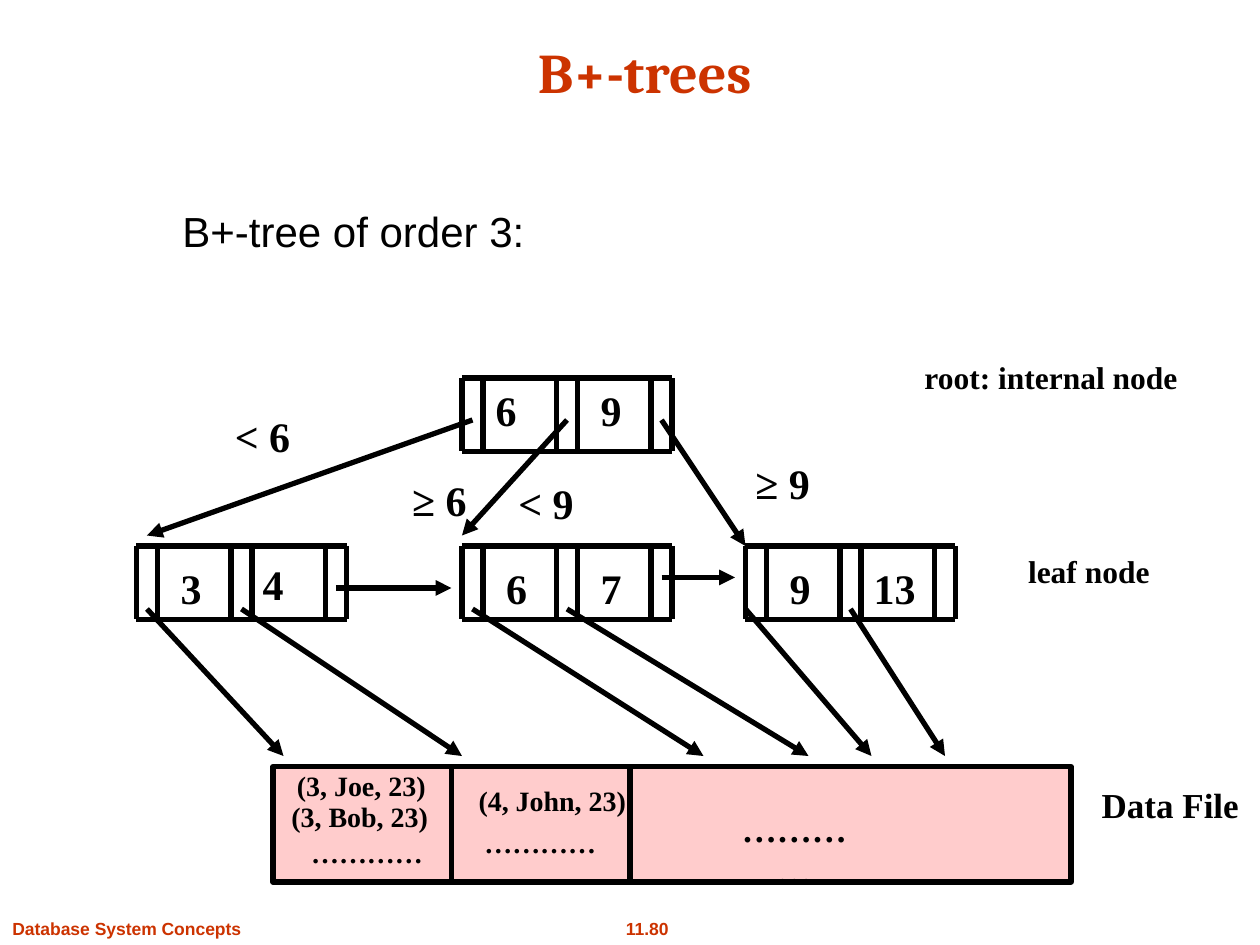
from typing import NamedTuple

import pptx
import pptx.dml.color
import pptx.enum.shapes
import pptx.enum.text
import pptx.oxml.ns
import pptx.util
from lxml import etree

PX = pptx.util.Inches(1) // 120  # one px is 1/120 inch
ALIGN = pptx.enum.text.PP_ALIGN
ANCHOR = pptx.enum.text.MSO_ANCHOR


class Theme(NamedTuple):
    accent: str = "CC3300"
    ink: str = "000000"
    paper: str = "FFFFFF"
    record_fill: str = "FFCCCC"
    title_font: str = "Cambria"
    body_font: str = "Arial"
    diagram_font: str = "Times New Roman"
    title_size: int = 32
    body_size: int = 24
    key_size: int = 24
    file_size: int = 20
    caption_size: int = 18
    record_size: int = 16
    footer_size: int = 10
    stroke: int = 3


class Node(NamedTuple):
    left: int
    top: int


class Line(NamedTuple):
    x1: int
    y1: int
    x2: int
    y2: int


class Label(NamedTuple):
    text: str
    left: int
    top: int
    width: int = 44


THEME = Theme()
NODE_WIDTH, NODE_HEIGHT = 200, 70
NODE_RULES = (0, 20, 90, 110, 180, 200)  # pointer slots between key cells

NODES = [Node(440, 360), Node(710, 520), Node(440, 520), Node(130, 520)]

CHILD_POINTERS = [
    Line(450, 400, 140, 510),
    Line(540, 400, 440, 510),
    Line(630, 400, 710, 520),
]
LEAF_LINKS = [Line(320, 560, 430, 560), Line(630, 550, 700, 550)]
RECORD_POINTERS = [
    Line(start, 580, end, 720)
    for start, end in [(140, 270), (230, 440), (450, 670),
                       (540, 770), (710, 830), (810, 900)]
]

# Labels by type size
LABELS = {
    THEME.key_size: [
        Label("3", 160, 530), Label("4", 238, 526),
        Label("6", 460, 360), Label("9", 560, 360),
        Label("6", 470, 530), Label("7", 560, 530),
        Label("9", 740, 530), Label("13", 820, 530, 64),
        Label("< 6", 211, 385, 78), Label("≥ 6", 370, 446, 97),
        Label("< 9", 481, 449, 78), Label("≥ 9", 707, 430, 77),
    ],
    THEME.record_size: [
        Label("(3, Joe, 23)", 270, 726, 148),
        Label("(3, Bob, 23)", 265, 756, 155),
        Label("(4, John, 23)", 443, 740, 166),
        Label("…………", 284, 790, 131),
        Label("…………", 449, 780, 131),
    ],
    THEME.file_size: [
        Label("…………", 678, 763, 157),
        Label("Data File", 1037, 740, 155),
    ],
    THEME.caption_size: [
        Label("root: internal node", 868, 335, 266),
        Label("leaf node", 967, 520, 140),
    ],
}


def rgb(value: str) -> pptx.dml.color.RGBColor:
    return pptx.dml.color.RGBColor.from_string(value)


def write(slide, text: str, *, left: int, top: int, width: int, height: int,
          size: int, font: str = THEME.diagram_font, color: str = THEME.ink,
          bold: bool = True, align=ALIGN.CENTER, anchor=ANCHOR.TOP,
          wrap: bool = False) -> None:
    box = slide.shapes.add_textbox(left * PX, top * PX, width * PX, height * PX)
    frame = box.text_frame
    frame.word_wrap = wrap
    frame.vertical_anchor = anchor
    paragraph = frame.paragraphs[0]
    paragraph.alignment = align
    run = paragraph.add_run()
    run.text = text
    run.font.name = font
    run.font.size = pptx.util.Pt(size)
    run.font.bold = bold
    run.font.color.rgb = rgb(color)


def draw_line(shapes, line: Line, *, arrow: bool = False) -> None:
    connector = shapes.add_connector(
        pptx.enum.shapes.MSO_CONNECTOR.STRAIGHT, *(value * PX for value in line))
    connector.line.color.rgb = rgb(THEME.ink)
    connector.line.width = pptx.util.Pt(THEME.stroke)
    if arrow:
        etree.SubElement(connector.line._get_or_add_ln(),
                         pptx.oxml.ns.qn("a:tailEnd"), type="triangle")
    etree.SubElement(connector._element.spPr, pptx.oxml.ns.qn("a:effectLst"))


def draw_node(slide, node: Node) -> None:
    shapes = slide.shapes.add_group_shape().shapes
    bottom = node.top + NODE_HEIGHT
    for offset in NODE_RULES:
        x = node.left + offset
        draw_line(shapes, Line(x, node.top, x, bottom))
    for y in (node.top, bottom):
        draw_line(shapes, Line(node.left, y, node.left + NODE_WIDTH, y))


def draw_data_file(slide) -> None:
    left, top, width, height = 260, 730, 760, 110
    records = slide.shapes.add_shape(
        pptx.enum.shapes.MSO_SHAPE.RECTANGLE,
        left * PX, top * PX, width * PX, height * PX)
    records.shadow.inherit = False
    records.fill.solid()
    records.fill.fore_color.rgb = rgb(THEME.record_fill)
    records.line.color.rgb = rgb(THEME.ink)
    records.line.width = pptx.util.Pt(THEME.stroke)
    for x in (430, 600):
        draw_line(slide.shapes, Line(x, top, x, top + height))


def main() -> None:
    deck = pptx.Presentation()
    deck.slide_width, deck.slide_height = 1200 * PX, 900 * PX
    slide = deck.slides.add_slide(deck.slide_layouts[6])
    slide.background.fill.solid()
    slide.background.fill.fore_color.rgb = rgb(THEME.paper)

    # Footer
    footer = dict(top=868, height=32, size=THEME.footer_size,
                  font=THEME.body_font, color=THEME.accent)
    write(slide, "11.80", left=583, width=67, **footer)
    write(slide, "Database System Concepts", left=0, width=242,
          align=ALIGN.LEFT, **footer)

    # Title and introduction
    write(slide, "B+-trees", left=84, top=26, width=1060, height=80,
          size=THEME.title_size, font=THEME.title_font, color=THEME.accent,
          anchor=ANCHOR.BOTTOM, wrap=True)
    write(slide, "B+-tree of order 3:", left=162, top=190, width=557, height=95,
          size=THEME.body_size, font=THEME.body_font, bold=False,
          align=ALIGN.LEFT, wrap=True)

    # Tree, data file and the pointers between them
    for node in NODES:
        draw_node(slide, node)
    draw_data_file(slide)
    for pointer in CHILD_POINTERS + LEAF_LINKS + RECORD_POINTERS:
        draw_line(slide.shapes, pointer, arrow=True)

    # Keys, conditions, records and captions
    for size, labels in LABELS.items():
        for label in labels:
            write(slide, label.text, left=label.left, top=label.top,
                  width=label.width, height=2 * size + 12, size=size)

    deck.save("out.pptx")


if __name__ == "__main__":
    main()
